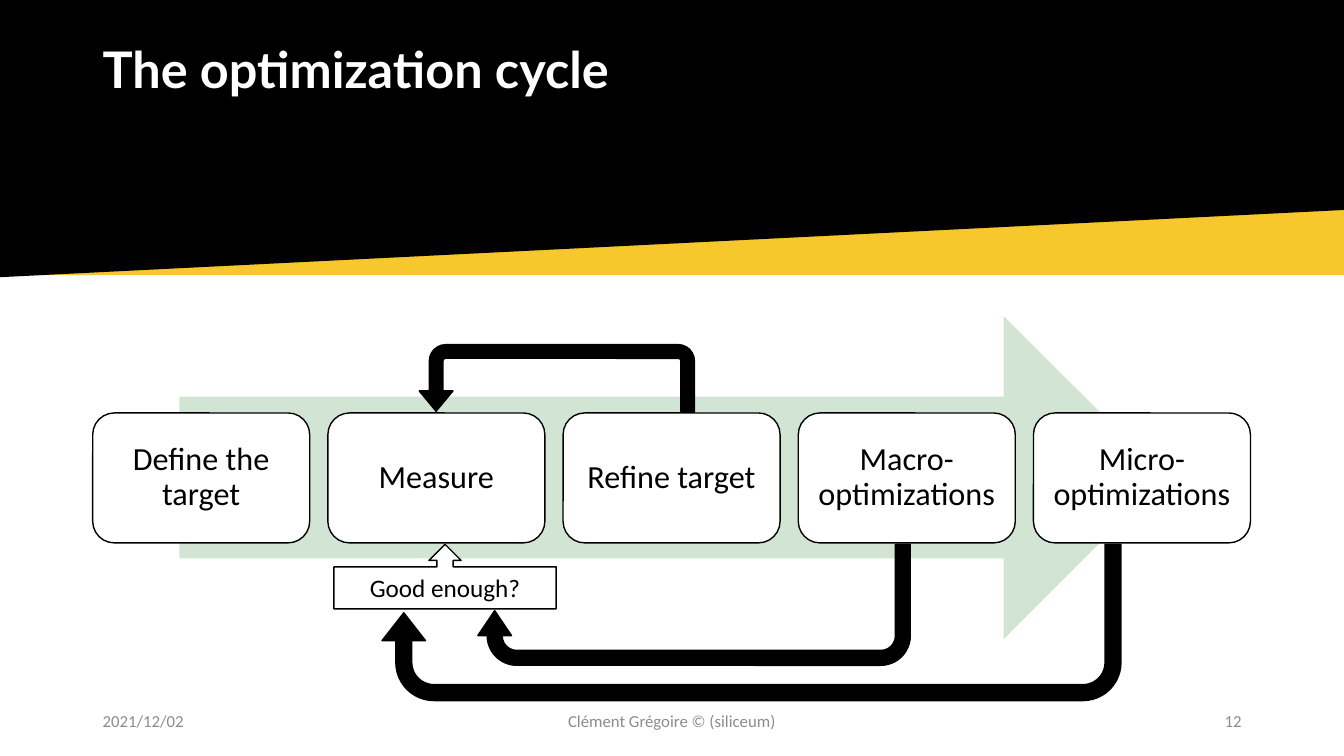
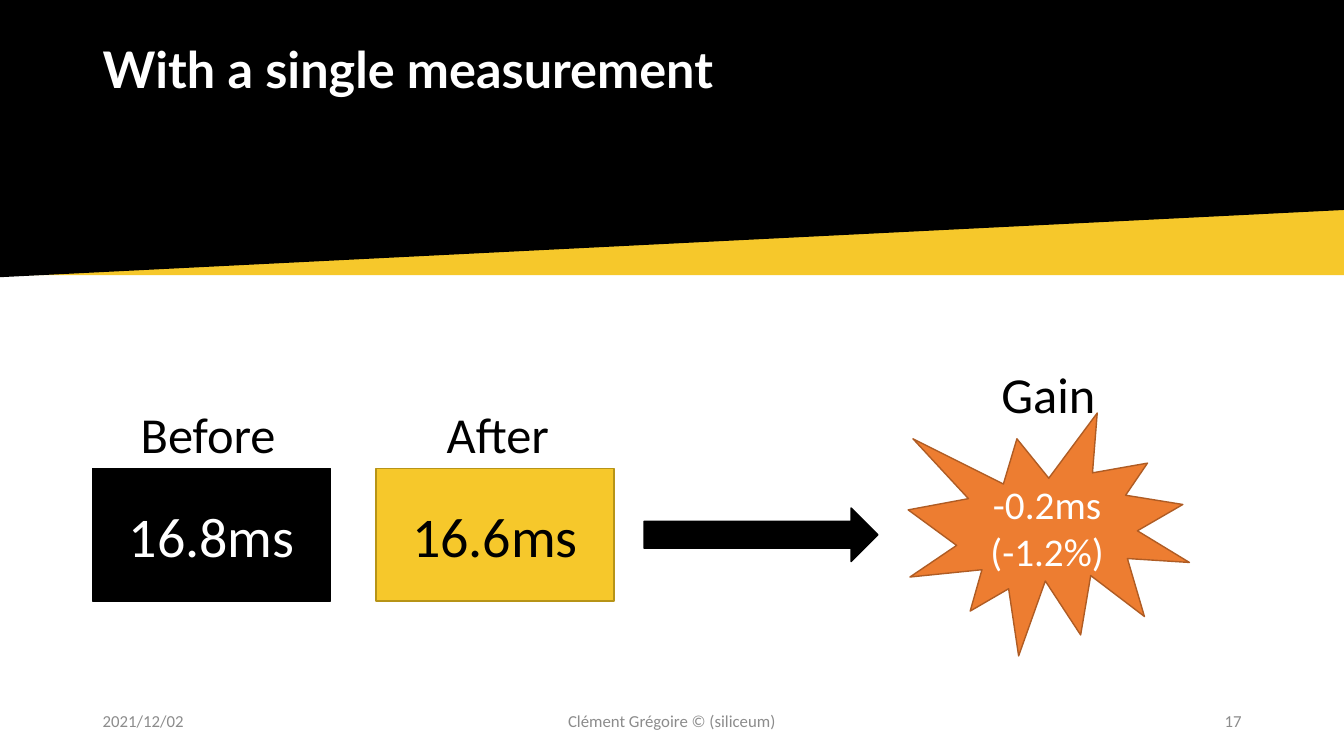
"""Build two slides on measuring and optimizing performance."""
from dataclasses import dataclass

from pptx import Presentation
from pptx.dml.color import RGBColor
from pptx.enum.shapes import MSO_SHAPE
from pptx.enum.text import MSO_ANCHOR, PP_ALIGN
from pptx.shapes.autoshape import Shape
from pptx.slide import Slide
from pptx.util import Pt

COLORS = {
    "black": "000000",
    "white": "FFFFFF",
    "yellow": "F6C82B",
    "dark_yellow": "B79417",
    "green": "D2E5D4",
    "orange": "ED7D31",
    "dark_orange": "AF5C24",
    "gray": "8C8C8C",
}
PAGE_WIDTH, PAGE_HEIGHT = 960, 540
MARGIN = 66.24
BAND_BOTTOM = 196.5
BOX_TOP = 295


@dataclass(frozen=True)
class Frame:
    """Position and size in points."""

    left: float
    top: float
    width: float
    height: float


@dataclass(frozen=True)
class TextStyle:
    """Look and placement of a text."""

    size: float
    color: str = "black"
    font: str = "Calibri"
    bold: bool = False
    align: PP_ALIGN = PP_ALIGN.CENTER
    anchor: MSO_ANCHOR = MSO_ANCHOR.MIDDLE
    spacing: float = 1.0
    wrap: bool = True


@dataclass(frozen=True)
class UTurn:
    """A bent arrow leading back to an earlier step."""

    frame: Frame
    adjustments: tuple[float, ...]
    above: bool = False


@dataclass(frozen=True)
class Label:
    """A short heading above a figure."""

    text: str
    frame: Frame


TITLE = TextStyle(36, "white", "Lato", True, PP_ALIGN.LEFT, MSO_ANCHOR.TOP, 0.9)
STEP = TextStyle(23, spacing=0.9)
HEADING = TextStyle(36, anchor=MSO_ANCHOR.TOP, wrap=False)

STEPS = ("Define the target", "Measure", "Refine target",
         "Macro-optimizations", "Micro-optimizations")
UTURNS = (
    UTurn(Frame(272.9, 388.8, 527.8, 111.6), (0.102, 0.139, 0.178, 0.244, 0.562)),
    UTurn(Frame(341.3, 388.8, 308.9, 86.4), (0.123, 0.139, 0.206, 0.244, 0.452)),
    UTurn(Frame(299.5, 246.2, 196.6, 48.2), (0.203, 0.25, 0.301, 0.244, 0.988), True),
)
LABELS = (
    Label("Before", Frame(92.9, 284.4, 111.6, 51.1)),
    Label("After", Frame(311, 284.4, 89.3, 51.1)),
    Label("Gain", Frame(707.8, 255.6, 82.1, 51.1)),
)


def rgb(name: str) -> RGBColor:
    """Return a named colour."""
    return RGBColor.from_string(COLORS[name])


def write(shape: Shape, text: str, style: TextStyle) -> None:
    """Put styled text into a shape."""
    box = shape.text_frame
    box.word_wrap = style.wrap
    box.vertical_anchor = style.anchor
    para = box.paragraphs[0]
    para.text = text
    para.alignment = style.align
    para.line_spacing = style.spacing
    para.font.name = style.font
    para.font.size = Pt(style.size)
    para.font.bold = style.bold
    para.font.color.rgb = rgb(style.color)


def add_text(page: Slide, frame: Frame, text: str, style: TextStyle) -> None:
    """Add a text box."""
    box = page.shapes.add_textbox(Pt(frame.left), Pt(frame.top),
                                  Pt(frame.width), Pt(frame.height))
    write(box, text, style)


def paint(shape: Shape, fill: str, line: str | None = None) -> None:
    """Set fill and outline and drop the shadow."""
    shape.shadow.inherit = False
    shape.fill.solid()
    shape.fill.fore_color.rgb = rgb(fill)
    if line:
        shape.line.color.rgb = rgb(line)
        shape.line.width = Pt(1)
    else:
        shape.line.fill.background()


def add_figure(page: Slide, kind: MSO_SHAPE, frame: Frame, fill: str,
               line: str | None = None) -> Shape:
    """Add a painted preset shape."""
    shape = page.shapes.add_shape(kind, Pt(frame.left), Pt(frame.top),
                                  Pt(frame.width), Pt(frame.height))
    paint(shape, fill, line)
    return shape


def add_uturn(page: Slide, uturn: UTurn) -> None:
    """Add an arrow that turns back to the left."""
    shape = add_figure(page, MSO_SHAPE.U_TURN_ARROW, uturn.frame, "black", "black")
    for index, value in enumerate(uturn.adjustments):
        shape.adjustments[index] = value
    if uturn.above:
        shape._element.spPr.get_or_add_xfrm().set("flipH", "1")
    else:
        shape.rotation = 180


def add_page(deck: Presentation, title: str, number: int) -> Slide:
    """Add a page with its bands, title and footers."""
    page = deck.slides.add_slide(deck.slide_layouts[6])
    add_figure(page, MSO_SHAPE.RECTANGLE, Frame(0, 0, PAGE_WIDTH, BAND_BOTTOM), "yellow")
    outline = page.shapes.build_freeform(0, 0, scale=Pt(1))
    outline.add_line_segments(((PAGE_WIDTH, 0), (PAGE_WIDTH, 149.5), (0, 197.5)))
    paint(outline.convert_to_shape(), "black")
    add_text(page, Frame(MARGIN, 28.8, 828, 54), title, TITLE)
    footers = (
        ("2021/12/02", MARGIN, 216, PP_ALIGN.LEFT),
        ("Clément Grégoire © (siliceum)", 318, 324, PP_ALIGN.CENTER),
        (str(number), 678, 216, PP_ALIGN.RIGHT),
    )
    for text, left, width, align in footers:
        add_text(page, Frame(left, 500.5, width, 28.8), text,
                 TextStyle(12, "gray", align=align))
    return page


def add_cycle_page(deck: Presentation) -> None:
    """Show the steps of the optimization cycle."""
    page = add_page(deck, "The optimization cycle", 12)
    add_figure(page, MSO_SHAPE.RIGHT_ARROW, Frame(128.2, 225.6, 704.2, 231.1), "green")
    for index, step in enumerate(STEPS):
        frame = Frame(MARGIN + index * 168, BOX_TOP, 155, 92.8)
        shape = add_figure(page, MSO_SHAPE.ROUNDED_RECTANGLE, frame, "white", "black")
        write(shape, step, STEP)
    question = add_figure(page, MSO_SHAPE.UP_ARROW_CALLOUT,
                          Frame(238.5, 388.8, 158.8, 46.1), "white", "black")
    write(question, "Good enough?", TextStyle(18))
    for uturn in UTURNS:
        add_uturn(page, uturn)


def add_measurement_page(deck: Presentation) -> None:
    """Compare one measurement before and after."""
    page = add_page(deck, "With a single measurement", 17)
    figures = (
        (MSO_SHAPE.RECTANGLE, Frame(MARGIN, 334.8, 169.9, 94.5),
         "black", "black", "16.8ms", TextStyle(40, "white")),
        (MSO_SHAPE.RECTANGLE, Frame(268.6, 334.8, 169.9, 94.5),
         "yellow", "dark_yellow", "16.6ms", TextStyle(40)),
        (MSO_SHAPE.EXPLOSION1, Frame(648.7, BOX_TOP, 200.9, 173.5),
         "orange", "dark_orange", "-0.2ms (-1.2%)", TextStyle(28, "white")),
    )
    for kind, frame, fill, line, text, style in figures:
        write(add_figure(page, kind, frame, fill, line), text, style)
    add_figure(page, MSO_SHAPE.RIGHT_ARROW, Frame(460, 362.9, 167, 38.2), "black", "black")
    for label in LABELS:
        add_text(page, label.frame, label.text, HEADING)


def main() -> None:
    """Build and save the deck."""
    deck = Presentation()
    deck.slide_width, deck.slide_height = Pt(PAGE_WIDTH), Pt(PAGE_HEIGHT)
    add_cycle_page(deck)
    add_measurement_page(deck)
    deck.save("out.pptx")


if __name__ == "__main__":
    main()
